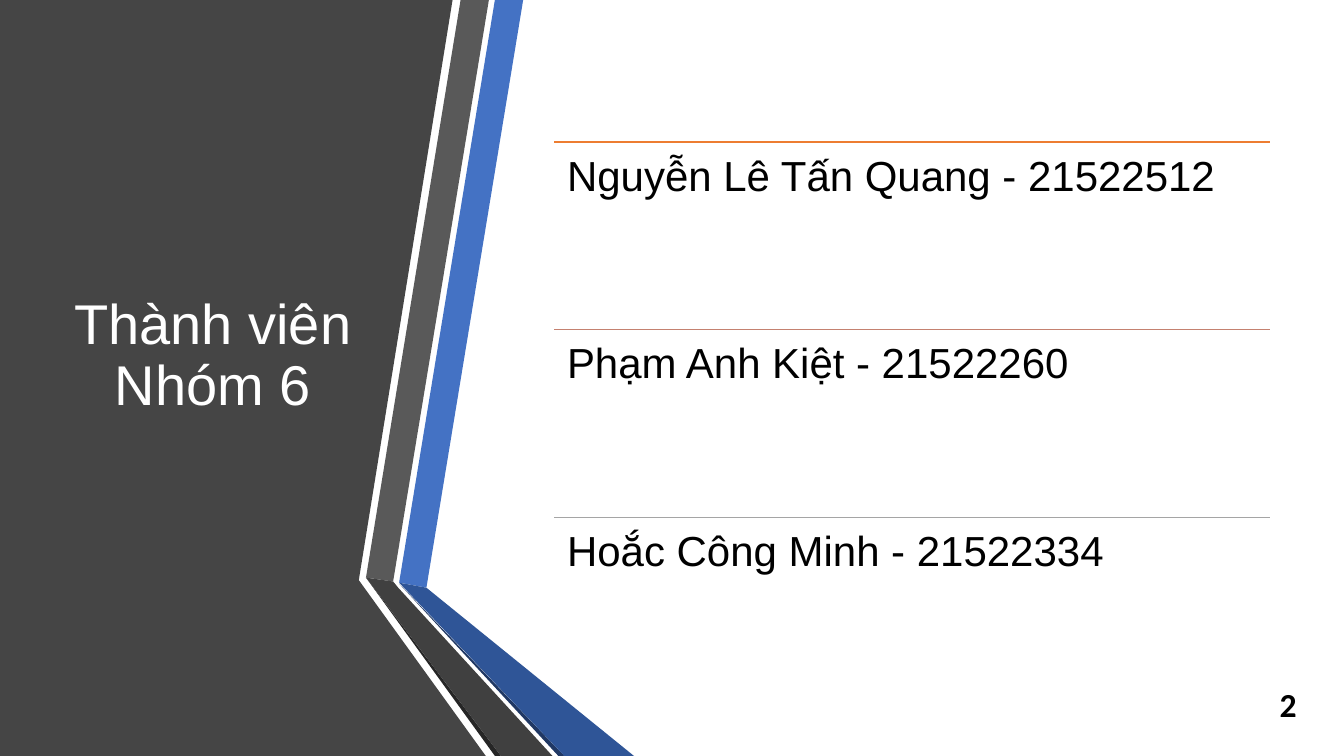
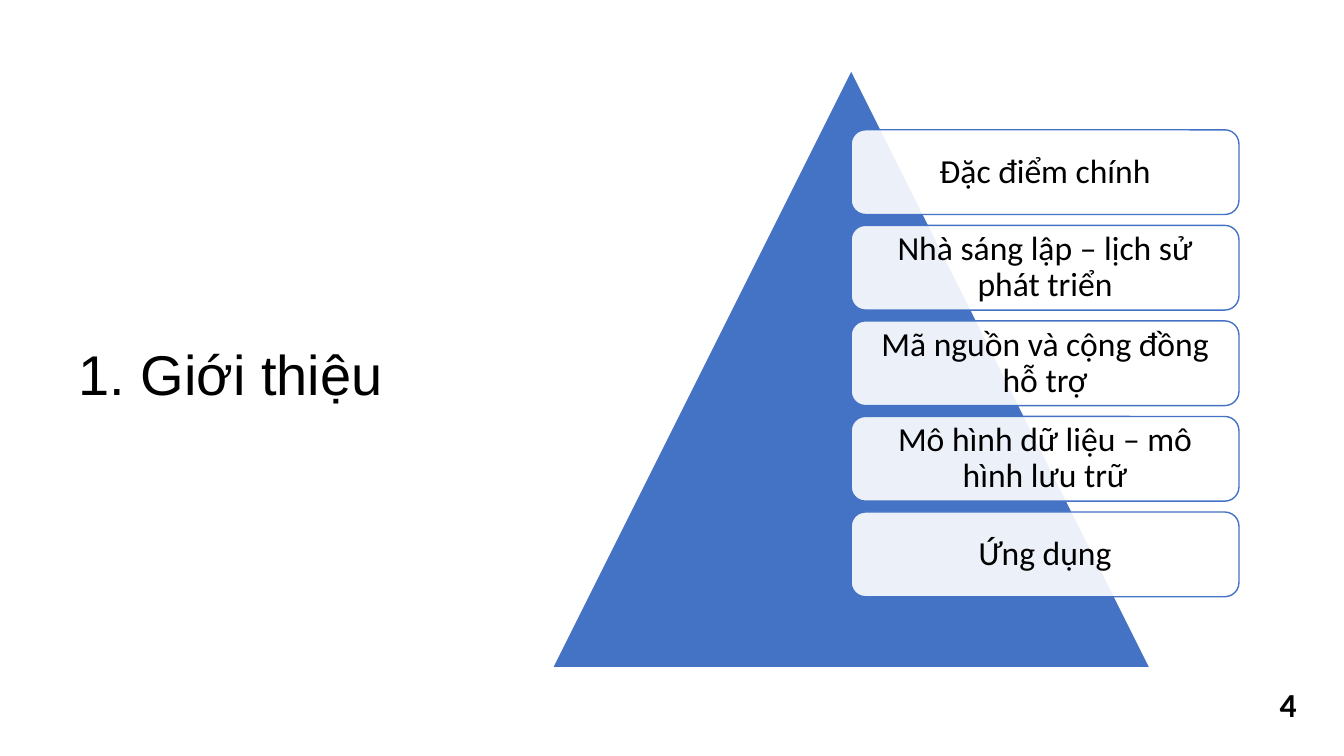
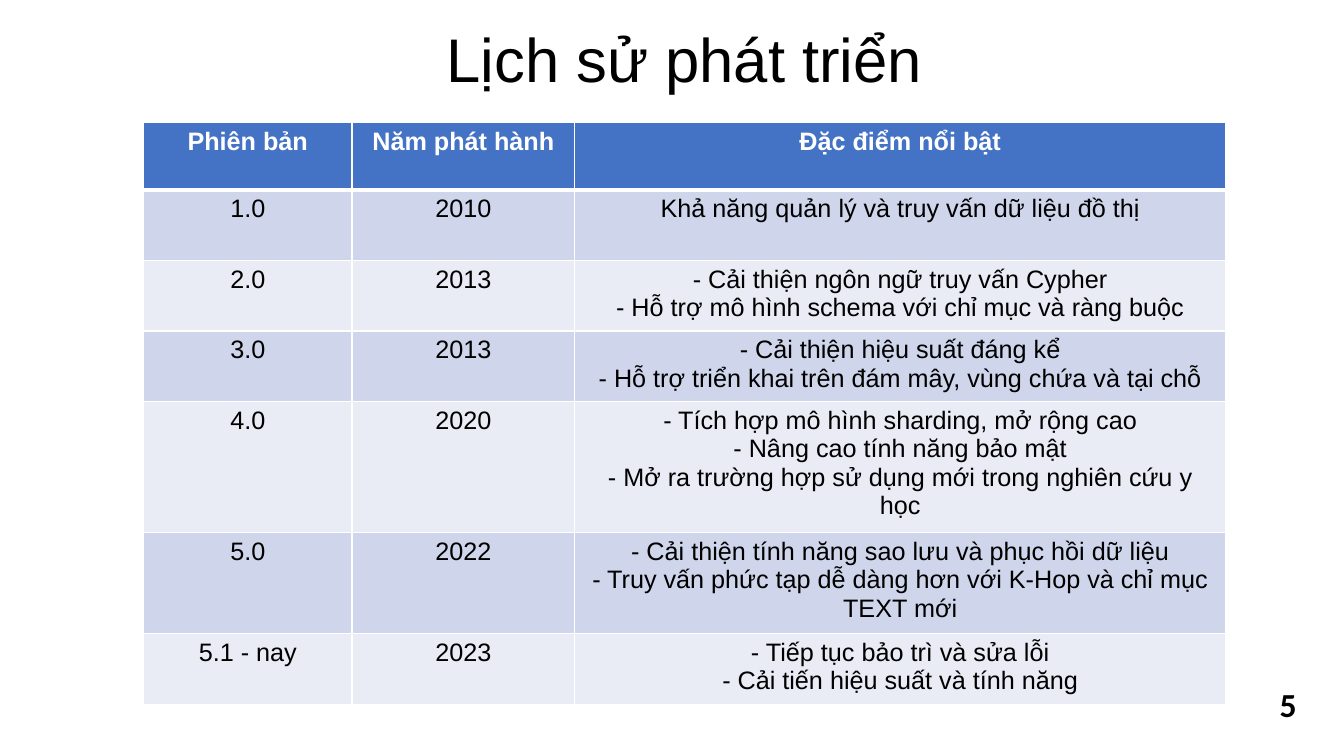
import pptx
import pptx.util
import pptx.dml.color
import pptx.enum.shapes
import pptx.enum.text
import pptx.oxml.ns
import lxml.etree

Pt = pptx.util.Pt
RGB = pptx.dml.color.RGBColor
SHAPE = pptx.enum.shapes.MSO_SHAPE
ALIGN = pptx.enum.text.PP_ALIGN
ANCHOR = pptx.enum.text.MSO_ANCHOR
qn = pptx.oxml.ns.qn

WHITE = RGB(0xFF, 0xFF, 0xFF)
BLACK = RGB(0, 0, 0)
BLUE = RGB(0x44, 0x72, 0xC4)
BLUE_SHADE = RGB(0x2F, 0x55, 0x97)
BLUE_DEEP = RGB(0x20, 0x38, 0x64)
PANEL_GRAY = RGB(0x45, 0x45, 0x45)
BAND_GRAY = RGB(0x59, 0x59, 0x59)
GRAY_SHADE = RGB(0x40, 0x40, 0x40)
GRAY_DEEP = RGB(0x26, 0x26, 0x26)
ROW_DARK = RGB(0xCF, 0xD5, 0xEA)
ROW_LIGHT = RGB(0xE9, 0xEB, 0xF5)

HEAD_FONT = "Arial"
BODY_FONT = "Calibri"

MEMBERS = [
    ("Nguyễn Lê Tấn Quang - 21522512", RGB(0xED, 0x7D, 0x31)),
    ("Phạm Anh Kiệt - 21522260", RGB(0xC4, 0x81, 0x70)),
    ("Hoắc Công Minh - 21522334", RGB(0xA5, 0xA5, 0xA5)),
]

# Outlines of the folded side panel, back to front
PANEL_PARTS = [
    (PANEL_GRAY, [(0, 0), (323.3, 0), (256.3, 414.4), (347, 540), (0, 540)]),
    (BLUE, [(285.1, 416.2), (304.6, 419.8), (373.7, 0), (353.5, 0)]),
    (BAND_GRAY, [(349.2, 0), (329, 0), (261.4, 412.6), (280.8, 415.4)]),
    (GRAY_DEEP, [(261.4, 412.6), (353.5, 540), (357.8, 540)]),
    (BLUE_DEEP, [(285.1, 416.9), (398.9, 540), (403.2, 540)]),
    (BLUE_SHADE, [(285.1, 416.2), (403.2, 540), (452.9, 540), (304.6, 419.8)]),
    (GRAY_SHADE, [(394.6, 540), (284.4, 419.8), (280.8, 415.4),
                  (261.4, 412.6), (357.8, 540)]),
]

TOPICS = [
    "Đặc điểm chính",
    "Nhà sáng lập – lịch sử phát triển",
    "Mã nguồn và cộng đồng hỗ trợ",
    "Mô hình dữ liệu – mô hình lưu trữ",
    "Ứng dụng",
]

COLUMN_WIDTHS = [149, 159, 465]
VERSIONS = [
    (48, "Phiên bản", "Năm phát hành", ["Đặc điểm nổi bật"]),
    (50.5, "1.0", "2010", ["Khả năng quản lý và truy vấn dữ liệu đồ thị"]),
    (50.5, "2.0", "2013", ["- Cải thiện ngôn ngữ truy vấn Cypher",
                           "- Hỗ trợ mô hình schema với chỉ mục và ràng buộc"]),
    (50.5, "3.0", "2013", ["- Cải thiện hiệu suất đáng kể",
                           "- Hỗ trợ triển khai trên đám mây, vùng chứa và tại chỗ"]),
    (93, "4.0", "2020", ["- Tích hợp mô hình sharding, mở rộng cao",
                         "- Nâng cao tính năng bảo mật",
                         "- Mở ra trường hợp sử dụng mới trong nghiên cứu y học"]),
    (72, "5.0", "2022", ["- Cải thiện tính năng sao lưu và phục hồi dữ liệu",
                         "- Truy vấn phức tạp dễ dàng hơn với K-Hop và chỉ mục TEXT mới"]),
    (50.5, "5.1 - nay", "2023", ["- Tiếp tục bảo trì và sửa lỗi",
                                 "- Cải tiến hiệu suất và tính năng"]),
]


def write_text(tf, paragraphs, size, font=HEAD_FONT, color=BLACK, bold=False,
               align=ALIGN.LEFT, spacing=None):
    for i, text in enumerate(paragraphs):
        p = tf.paragraphs[0] if i == 0 else tf.add_paragraph()
        p.text = text
        p.alignment = align
        p.line_spacing = spacing
        for r in p.runs:
            r.font.name = font
            r.font.size = Pt(size)
            r.font.bold = bold
            r.font.color.rgb = color


def set_frame(tf, anchor=ANCHOR.TOP, inset=None):
    tf.word_wrap = True
    tf.vertical_anchor = anchor
    if inset is not None:
        tf.margin_left = tf.margin_right = Pt(inset)
        tf.margin_top = tf.margin_bottom = Pt(inset)


def add_text(slide, box, text, size, anchor=ANCHOR.TOP, inset=None, **style):
    tf = slide.shapes.add_textbox(*map(Pt, box)).text_frame
    set_frame(tf, anchor, inset)
    write_text(tf, [text], size, **style)


def add_title(slide, box, text, size=40, anchor=ANCHOR.MIDDLE, **style):
    add_text(slide, box, text, size, anchor, spacing=0.9, **style)


def add_page(prs, number):
    slide = prs.slides.add_slide(prs.slide_layouts[6])
    add_text(slide, (907, 485, 35, 36), str(number), 24, font=BODY_FONT, bold=True)
    return slide


def paint(sp, fill, line=None):
    sp.shadow.inherit = False
    sp.fill.solid()
    sp.fill.fore_color.rgb = fill
    if line is None:
        sp.line.fill.background()
    else:
        sp.line.color.rgb = line
        sp.line.width = Pt(1)


def set_opacity(sp, percent):
    color = sp.fill._xPr.find(qn("a:solidFill"))[0]
    lxml.etree.SubElement(color, qn("a:alpha"), val=str(percent * 1000))


def add_rule(slide, x, y, width, color):
    line = slide.shapes.add_connector(
        pptx.enum.shapes.MSO_CONNECTOR.STRAIGHT, Pt(x), Pt(y), Pt(x + width), Pt(y))
    line.line.color.rgb = color
    line.line.width = Pt(1)
    lxml.etree.SubElement(line._element.spPr, qn("a:effectLst"))


def set_borders(cell, color, **widths):
    """Draw cell borders; must run before the cell is filled."""
    tc_pr = cell._tc.get_or_add_tcPr()
    for side, width in widths.items():
        ln = lxml.etree.SubElement(tc_pr, qn("a:ln" + side), w=str(Pt(width)))
        fill = lxml.etree.SubElement(ln, qn("a:solidFill"))
        lxml.etree.SubElement(fill, qn("a:srgbClr"), val=str(color))


def build_members(prs):
    slide = add_page(prs, 2)
    for color, points in PANEL_PARTS:
        corners = [(Pt(x), Pt(y)) for x, y in points]
        builder = slide.shapes.build_freeform(*corners[0])
        builder.add_line_segments(corners[1:], close=True)
        paint(builder.convert_to_shape(), color)
    add_title(slide, (42.5, 54, 219, 402), "Thành viên\vNhóm 6",
              color=WHITE, align=ALIGN.CENTER)

    left, top, width, height = 396, 101.5, 511, 134
    for i, (member, color) in enumerate(MEMBERS):
        y = top + i * height
        add_rule(slide, left, y, width, color)
        add_text(slide, (left, y, width, height), member, 30, inset=9, spacing=0.9)


def build_introduction(prs):
    slide = add_page(prs, 4)
    add_title(slide, (49, 91.5, 284, 356), "1. Giới thiệu")
    pyramid = slide.shapes.add_shape(
        SHAPE.ISOSCELES_TRIANGLE, Pt(394.5), Pt(50), Pt(427), Pt(427))
    paint(pyramid, BLUE, WHITE)

    top, step = 92.75, 68.25
    for i, topic in enumerate(TOPICS):
        card = slide.shapes.add_shape(
            SHAPE.ROUNDED_RECTANGLE, Pt(608), Pt(top + i * step), Pt(277), Pt(60.5))
        paint(card, WHITE, BLUE)
        set_opacity(card, 90)
        set_frame(card.text_frame, ANCHOR.MIDDLE, 7.2)
        write_text(card.text_frame, [topic], 24, font=BODY_FONT,
                   align=ALIGN.CENTER, spacing=0.9)


def build_history(prs):
    slide = add_page(prs, 5)
    add_title(slide, (72, -11.5, 834, 83.5), "Lịch sử phát triển", 44,
              ANCHOR.BOTTOM, align=ALIGN.CENTER)
    table = slide.shapes.add_table(
        len(VERSIONS), len(COLUMN_WIDTHS), Pt(102.5), Pt(87.5),
        Pt(sum(COLUMN_WIDTHS)), Pt(sum(row[0] for row in VERSIONS))).table
    for column, width in zip(table.columns, COLUMN_WIDTHS):
        column.width = Pt(width)
    for i, (height, version, year, features) in enumerate(VERSIONS):
        table.rows[i].height = Pt(height)
        header = i == 0
        fill = BLUE if header else ROW_DARK if i % 2 else ROW_LIGHT
        for j, lines in enumerate(([version], [year], features)):
            cell = table.cell(i, j)
            set_borders(cell, WHITE, L=1, R=1, T=3 if i == 1 else 1, B=3 if header else 1)
            cell.fill.solid()
            cell.fill.fore_color.rgb = fill
            write_text(cell.text_frame, lines, 18, bold=header,
                       color=WHITE if header else BLACK, align=ALIGN.CENTER)


def main():
    prs = pptx.Presentation()
    prs.slide_width, prs.slide_height = Pt(960), Pt(540)
    build_members(prs)
    build_introduction(prs)
    build_history(prs)
    prs.save("out.pptx")


if __name__ == "__main__":
    main()
